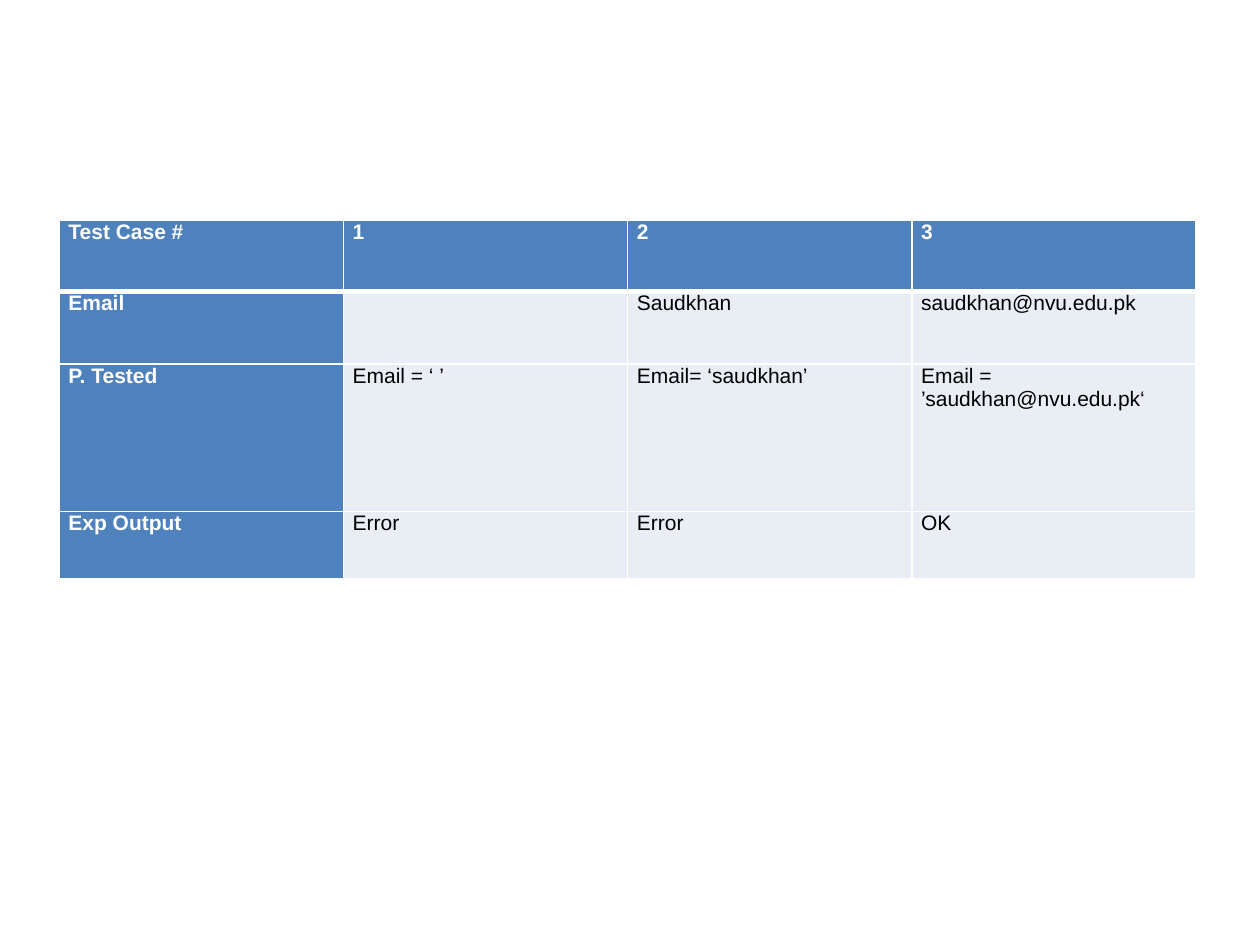
"""Build a slide with a table of e-mail validation test cases."""
import dataclasses

import lxml.etree
import pptx
import pptx.dml.color
import pptx.oxml.ns
import pptx.table
import pptx.util

Cm = pptx.util.Cm
Pt = pptx.util.Pt
Color = pptx.dml.color.RGBColor


@dataclasses.dataclass(frozen=True)
class Theme:
    font: str = "Arial"
    size: int = 12
    heading_fill: str = "4F81BD"
    body_fill: str = "E9EDF4"
    heading_text: str = "FFFFFF"
    body_text: str = "000000"
    border: str = "FFFFFF"
    thin: int = 1
    thick: int = 3


@dataclasses.dataclass(frozen=True)
class TableRow:
    height: float
    texts: tuple[str, ...]


THEME = Theme()
COLUMN_WIDTH = 5.73
ROWS = (
    TableRow(1.42, ("Test Case #", "1", "2", "3")),
    TableRow(1.47, ("Email", "", "Saudkhan", "saudkhan@nvu.edu.pk")),
    TableRow(2.97, ("P. Tested", "Email = ‘ ’", "Email= ‘saudkhan’",
                    "Email = ’saudkhan@nvu.edu.pk‘")),
    TableRow(1.35, ("Exp Output", "Error", "Error", "OK")),
)


def draw_borders(cell: pptx.table._Cell, widths: dict[str, int]) -> None:
    """Give the cell one solid border line per named side."""
    qn = pptx.oxml.ns.qn
    properties = cell._tc.get_or_add_tcPr()
    for position, (side, width) in enumerate(widths.items()):
        line = lxml.etree.Element(qn(f"a:ln{side}"), w=str(Pt(width)))
        fill = lxml.etree.SubElement(line, qn("a:solidFill"))
        lxml.etree.SubElement(fill, qn("a:srgbClr"), val=THEME.border)
        properties.insert(position, line)


def draw_cell(cell: pptx.table._Cell, text: str, heading: bool) -> None:
    """Fill the cell and write its text as a heading or a body cell."""
    cell.margin_left = cell.margin_right = Cm(0.19)
    cell.margin_top = cell.margin_bottom = 0
    cell.fill.solid()
    cell.fill.fore_color.rgb = Color.from_string(
        THEME.heading_fill if heading else THEME.body_fill)
    cell.text_frame.text = text
    para = cell.text_frame.paragraphs[0]
    para.font.size = Pt(THEME.size)
    for span in para.runs:
        span.font.name = THEME.font
        span.font.size = Pt(THEME.size)
        span.font.bold = heading
        span.font.color.rgb = Color.from_string(
            THEME.heading_text if heading else THEME.body_text)


def draw_table(page: pptx.slide.Slide, rows: tuple[TableRow, ...]) -> None:
    """Draw the test cases with a heading row and a heading column."""
    count = len(rows[0].texts)
    table = page.shapes.add_table(
        len(rows), count, Cm(1.19), Cm(4.45), Cm(COLUMN_WIDTH * count),
        Cm(sum(row.height for row in rows))).table
    table.first_col = True
    table.horz_banding = False
    for column in table.columns:
        column.width = Cm(COLUMN_WIDTH)
    for r, row in enumerate(rows):
        table.rows[r].height = Cm(row.height)
        for c, text in enumerate(row.texts):
            cell = table.cell(r, c)
            draw_cell(cell, text, heading=r == 0 or c == 0)
            draw_borders(cell, {
                "L": THEME.thin,
                "R": THEME.thin,
                "T": THEME.thick if r == 1 else THEME.thin,
                "B": THEME.thick if r == 0 else THEME.thin,
            })


def main() -> None:
    """Create the deck and save it."""
    deck = pptx.Presentation()
    deck.slide_width, deck.slide_height = Cm(25.4), Cm(19.05)
    page = deck.slides.add_slide(deck.slide_layouts.get_by_name("Blank"))
    draw_table(page, ROWS)
    deck.save("out.pptx")


if __name__ == "__main__":
    main()
